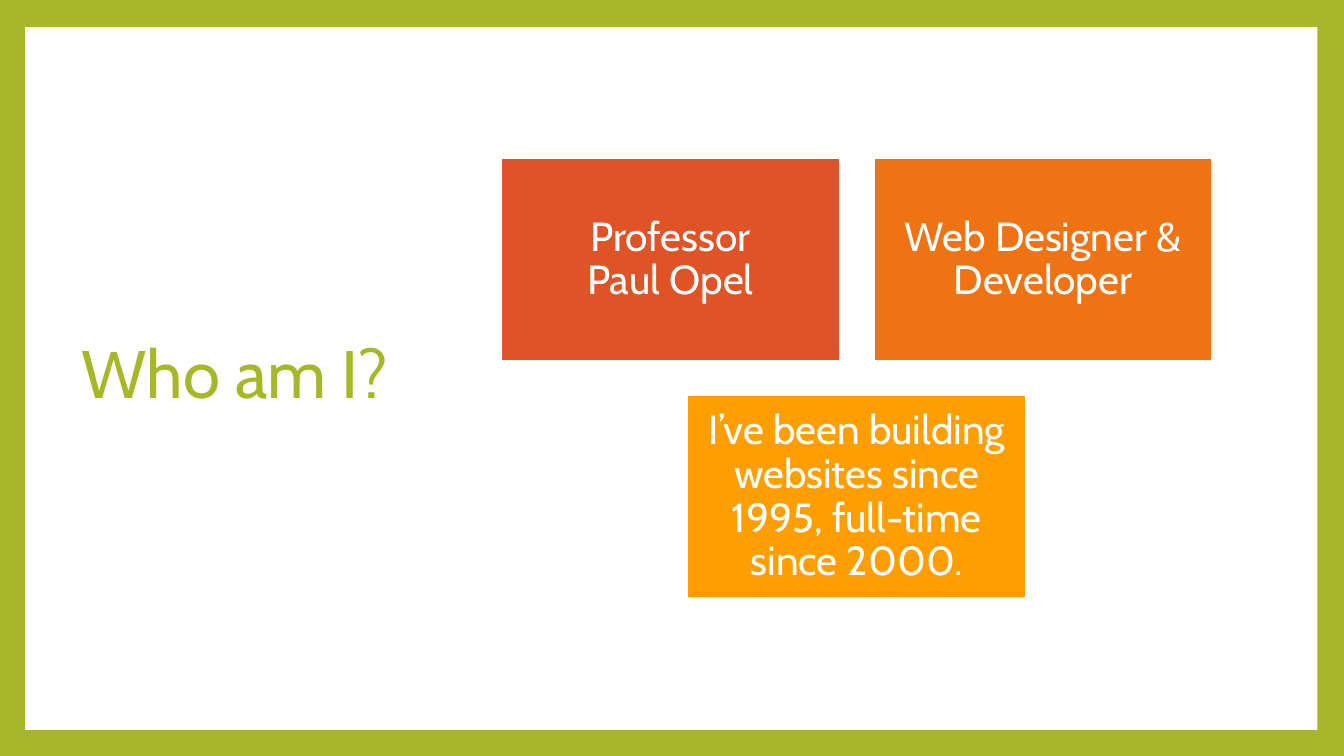
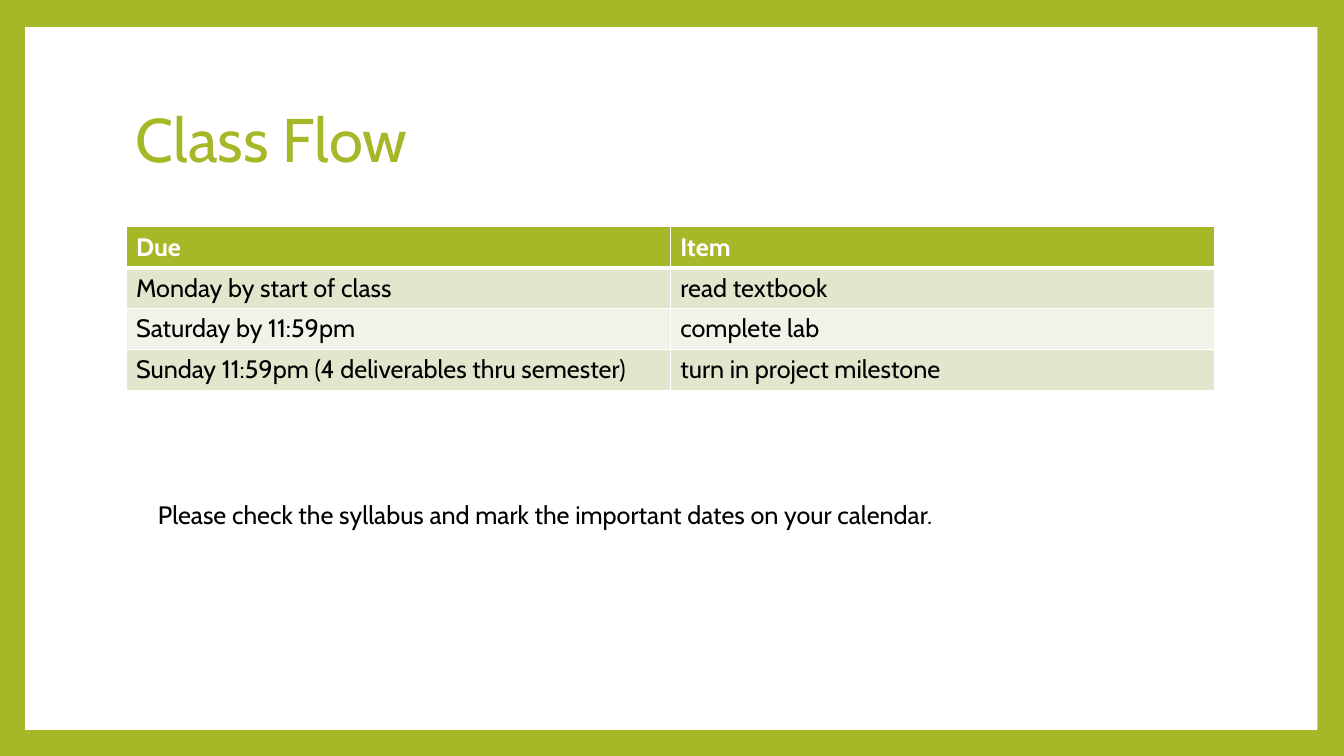
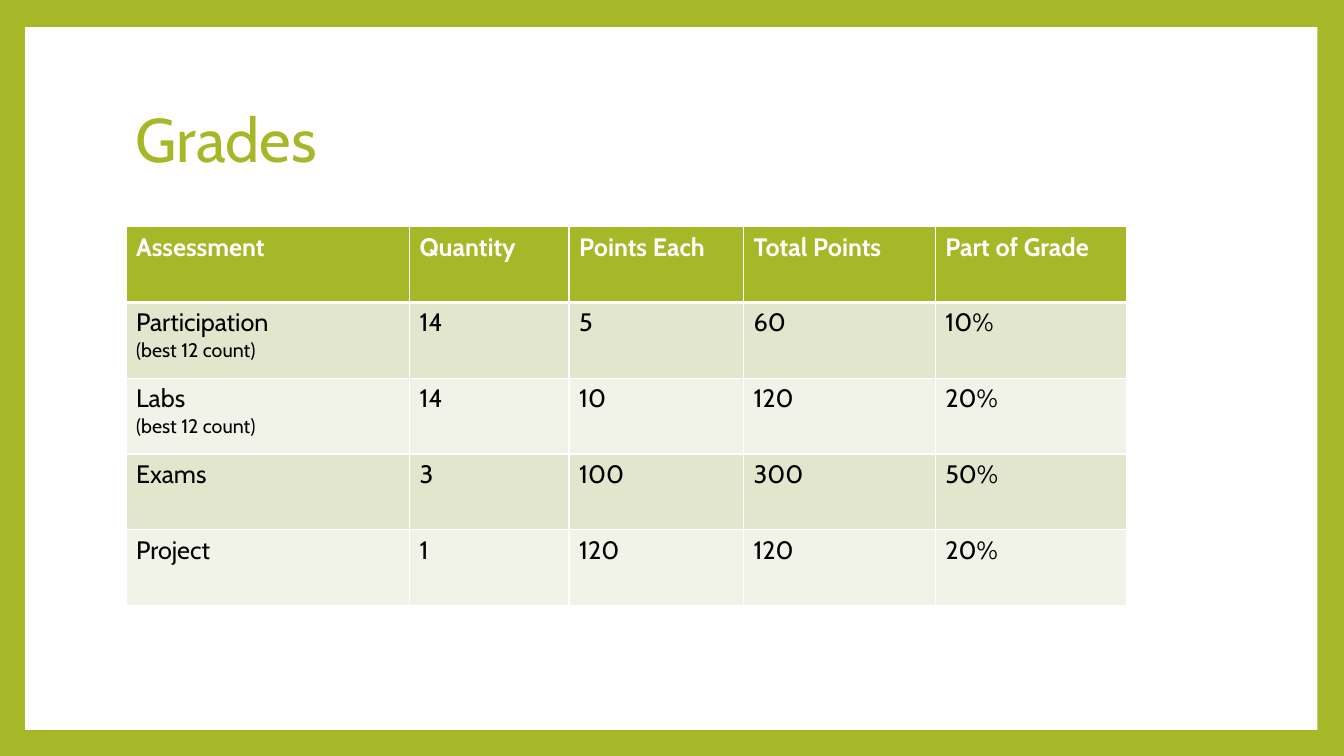
from dataclasses import dataclass

import lxml.etree
import pptx
import pptx.dml.color
import pptx.enum.shapes
import pptx.enum.text
import pptx.oxml.ns
import pptx.presentation
import pptx.shapes.autoshape
import pptx.slide
import pptx.text.text
import pptx.util

Pt = pptx.util.Pt
RGBColor = pptx.dml.color.RGBColor
Anchor = pptx.enum.text.MSO_ANCHOR

GREEN = RGBColor(0xA6, 0xB7, 0x27)
RED = RGBColor(0xDF, 0x53, 0x27)
ORANGE = RGBColor(0xEF, 0x72, 0x13)
AMBER = RGBColor(0xFE, 0x9E, 0x00)
BAND_DARK = RGBColor(0xE1, 0xE6, 0xCD)
BAND_LIGHT = RGBColor(0xF1, 0xF3, 0xE8)
WHITE = RGBColor(0xFF, 0xFF, 0xFF)
BLACK = RGBColor(0x00, 0x00, 0x00)

FONT = "Cabin"
BODY_SIZE = 18
NOTE_SIZE = 14
TILE_WIDTH, TILE_HEIGHT, TILE_GAP = 242, 145.2, 24.2
TILES_CENTER, TILES_TOP = 612, 113
TABLE_LEFT, TABLE_TOP = 90, 162


@dataclass(frozen=True)
class Box:
    left: float
    top: float
    width: float
    height: float

    def lengths(self) -> tuple[pptx.util.Length, ...]:
        return Pt(self.left), Pt(self.top), Pt(self.width), Pt(self.height)


@dataclass(frozen=True)
class Tile:
    text: str
    color: RGBColor


@dataclass(frozen=True)
class Grid:
    widths: list[float]
    row_height: float
    rows: list[list[str]]


PANEL = Box(18, 19.4, 923, 502)
SIDE_TITLE = Box(51.1, 48.2, 265, 441.4)
TOP_TITLE = Box(90, 48.2, 777.6, 106.6)
REMINDER = Box(105.8, 352.8, 748.8, 51)

TILE_ROWS = [
    [Tile("Professor\nPaul Opel", RED), Tile("Web Designer & Developer", ORANGE)],
    [Tile("I’ve been building websites since 1995, full-time since 2000.", AMBER)],
]

CLASS_FLOW = Grid([388.8, 388.8], 29.2, [
    ["Due", "Item"],
    ["Monday by start of class", "read textbook"],
    ["Saturday by 11:59pm", "complete lab"],
    ["Sunday 11:59pm (4 deliverables thru semester)", "turn in project milestone"],
])

GRADES = Grid([202.6, 113.9, 124.6, 137, 137], 54.1, [
    ["Assessment", "Quantity", "Points Each", "Total Points", "Part of Grade"],
    ["Participation\n(best 12 count)", "14", "5", "60", "10%"],
    ["Labs\n(best 12 count)", "14", "10", "120", "20%"],
    ["Exams", "3", "100", "300", "50%"],
    ["Project", "1", "120", "120", "20%"],
])


def format_runs(p: pptx.text.text._Paragraph, size: float, color: RGBColor, bold: bool = False) -> None:
    for r in p.runs:
        r.font.name = FONT
        r.font.size = Pt(size)
        r.font.bold = bold
        r.font.color.rgb = color


def add_rect(slide: pptx.slide.Slide, box: Box, color: RGBColor) -> pptx.shapes.autoshape.Shape:
    sp = slide.shapes.add_shape(pptx.enum.shapes.MSO_SHAPE.RECTANGLE, *box.lengths())
    sp.shadow.inherit = False
    sp.fill.solid()
    sp.fill.fore_color.rgb = color
    sp.line.fill.background()
    return sp


def add_text(slide: pptx.slide.Slide, box: Box, text: str, size: float, color: RGBColor) -> pptx.text.text.TextFrame:
    tf = slide.shapes.add_textbox(*box.lengths()).text_frame
    tf.word_wrap = True
    tf.text = text
    format_runs(tf.paragraphs[0], size, color)
    return tf


def add_slide(prs: pptx.presentation.Presentation, title: str, box: Box, size: float) -> pptx.slide.Slide:
    slide = prs.slides.add_slide(prs.slide_layouts[6])
    add_rect(slide, PANEL, WHITE)
    tf = add_text(slide, box, title, size, GREEN)
    tf.vertical_anchor = Anchor.MIDDLE
    tf.paragraphs[0].line_spacing = 0.9
    return slide


def add_tile(slide: pptx.slide.Slide, tile: Tile, left: float, top: float) -> None:
    sp = add_rect(slide, Box(left, top, TILE_WIDTH, TILE_HEIGHT), tile.color)
    sp.line.color.rgb = WHITE
    sp.line.width = Pt(1.5)
    tf = sp.text_frame
    tf.word_wrap = True
    tf.vertical_anchor = Anchor.MIDDLE
    tf.margin_left = tf.margin_right = tf.margin_top = tf.margin_bottom = Pt(8.6)
    p = tf.paragraphs[0]
    p.text = tile.text
    p.alignment = pptx.enum.text.PP_ALIGN.CENTER
    p.line_spacing = 0.9
    format_runs(p, 29, WHITE)


def add_tiles(slide: pptx.slide.Slide, rows: list[list[Tile]]) -> None:
    for i, row in enumerate(rows):
        row_width = len(row) * (TILE_WIDTH + TILE_GAP) - TILE_GAP
        for j, tile in enumerate(row):
            left = TILES_CENTER - row_width / 2 + j * (TILE_WIDTH + TILE_GAP)
            add_tile(slide, tile, left, TILES_TOP + i * (TILE_HEIGHT + TILE_GAP))


def set_borders(cell: pptx.table._Cell, row: int) -> None:
    qn = pptx.oxml.ns.qn
    properties = cell._tc.get_or_add_tcPr()
    widths = {"lnL": 1, "lnR": 1, "lnT": 3 if row == 1 else 1, "lnB": 3 if row == 0 else 1}
    for side, width in widths.items():
        line = lxml.etree.SubElement(properties, qn(f"a:{side}"), w=str(Pt(width)))
        fill = lxml.etree.SubElement(line, qn("a:solidFill"))
        lxml.etree.SubElement(fill, qn("a:srgbClr"), val=str(WHITE))


def add_grid(slide: pptx.slide.Slide, grid: Grid) -> None:
    box = Box(TABLE_LEFT, TABLE_TOP, sum(grid.widths), grid.row_height * len(grid.rows))
    table = slide.shapes.add_table(len(grid.rows), len(grid.widths), *box.lengths()).table
    for column, width in zip(table.columns, grid.widths):
        column.width = Pt(width)
    for i, row in enumerate(grid.rows):
        table.rows[i].height = Pt(grid.row_height)
        header = i == 0
        band = GREEN if header else BAND_DARK if i % 2 else BAND_LIGHT
        for j, text in enumerate(row):
            cell = table.cell(i, j)
            set_borders(cell, i)
            cell.fill.solid()
            cell.fill.fore_color.rgb = band
            cell.text_frame.text = text
            for k, p in enumerate(cell.text_frame.paragraphs):
                format_runs(p, NOTE_SIZE if k else BODY_SIZE, WHITE if header else BLACK, header)


def main() -> None:
    prs = pptx.Presentation()
    prs.slide_width, prs.slide_height = Pt(960), Pt(540)
    background = prs.slide_master.background.fill
    background.solid()
    background.fore_color.rgb = GREEN

    add_tiles(add_slide(prs, "Who am I?", SIDE_TITLE, 48), TILE_ROWS)

    slide = add_slide(prs, "Class Flow", TOP_TITLE, 44)
    add_grid(slide, CLASS_FLOW)
    add_text(slide, REMINDER, "Please check the syllabus and mark the important dates on your calendar.",
             BODY_SIZE, BLACK)

    add_grid(add_slide(prs, "Grades", TOP_TITLE, 44), GRADES)

    prs.save("out.pptx")


if __name__ == "__main__":
    main()
